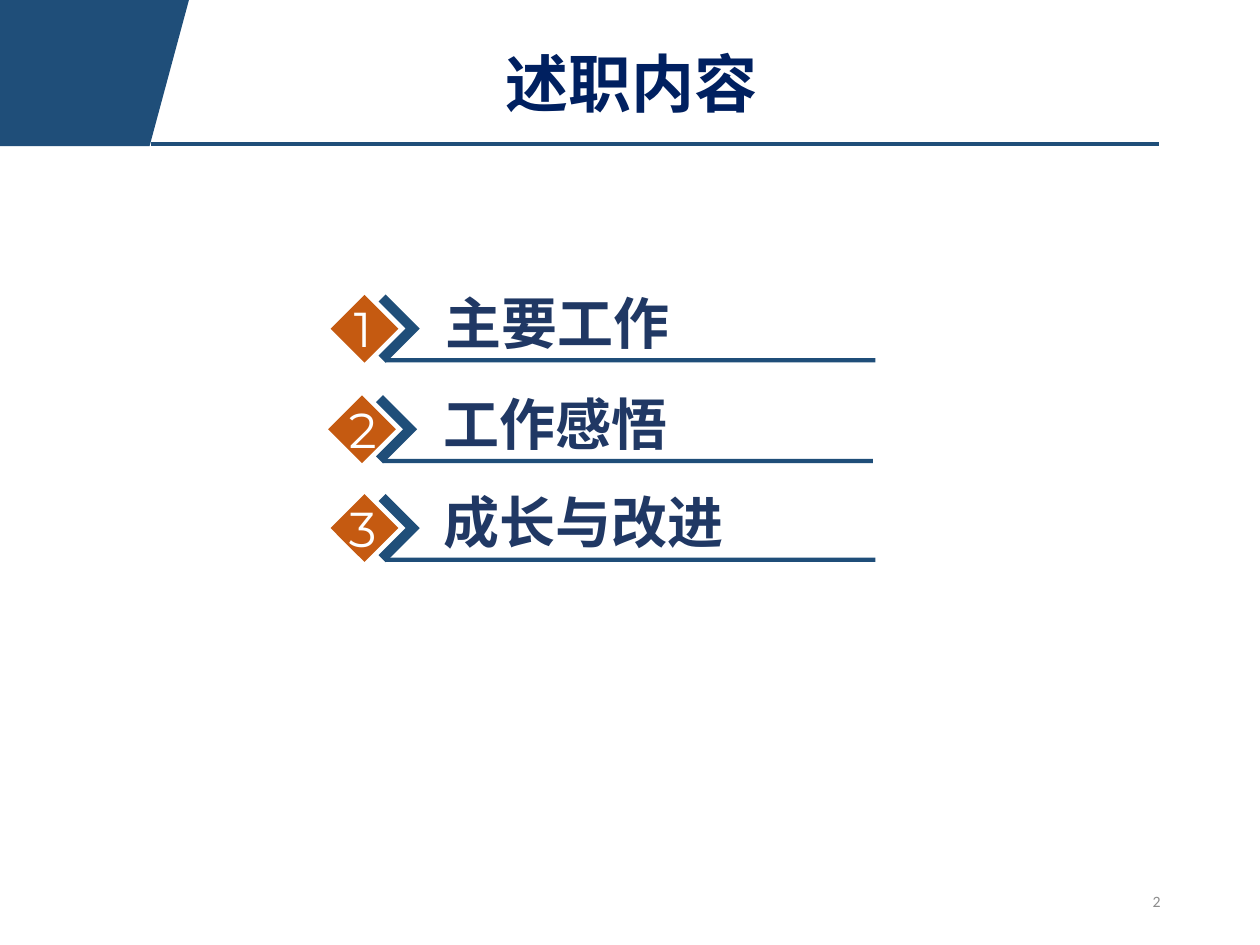
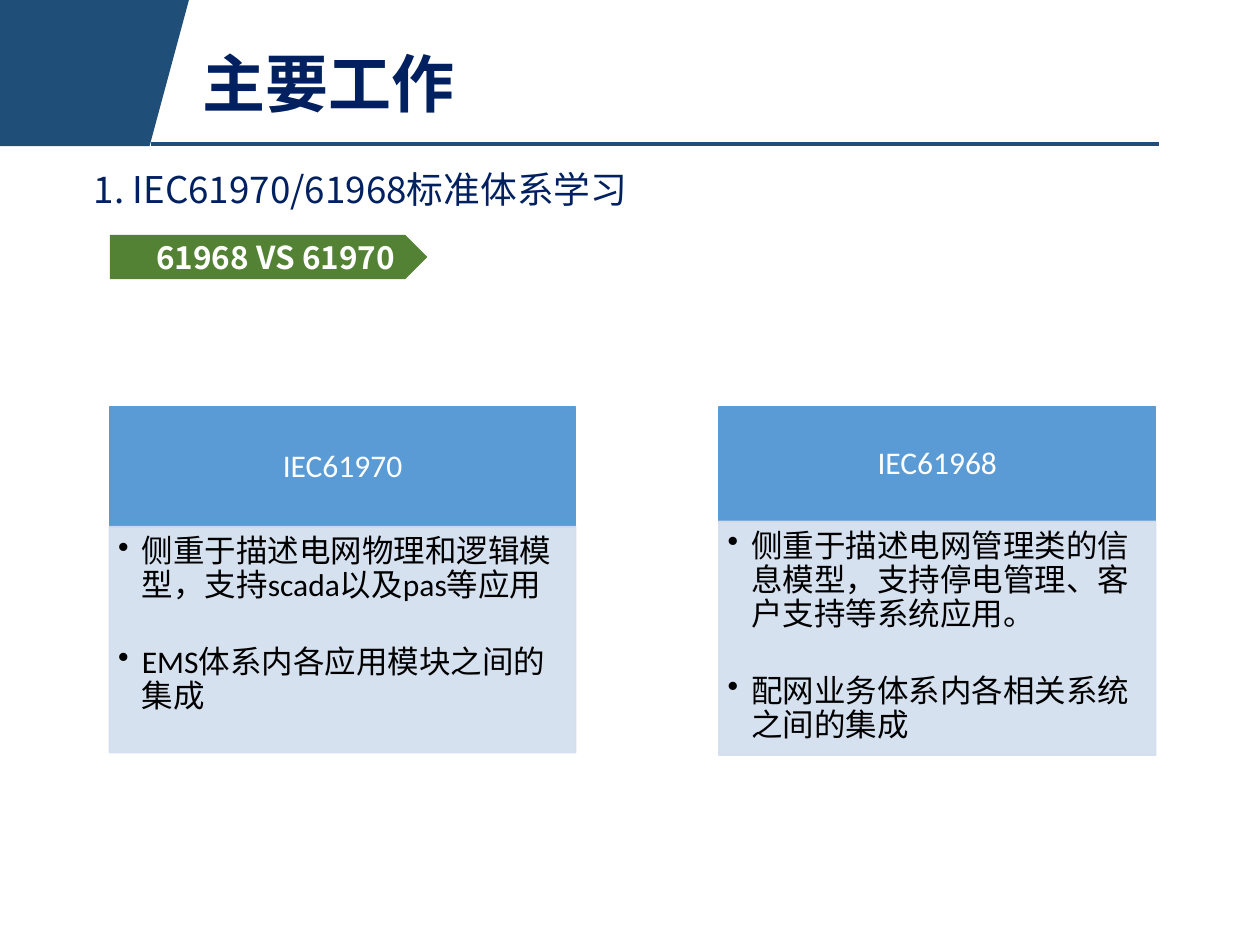
from pptx import Presentation, util as u
from pptx.dml.color import RGBColor
from pptx.enum import shapes as sh, text as tx
from pptx.oxml.ns import qn
from lxml import etree

Pt = u.Pt
HUES = {"navy": "1F4E79", "title": "002060", "label": "203864", "rust": "C55A11",
        "blue": "5B9BD5", "pale": "D2DEEF", "green": "548235", "gray": "8C8C8C",
        "white": "FFFFFF", "black": "000000"}
CJK = "Noto Sans CJK SC"
MID = tx.MSO_ANCHOR.MIDDLE
LEFT, CENTER, RIGHT = tx.PP_ALIGN.LEFT, tx.PP_ALIGN.CENTER, tx.PP_ALIGN.RIGHT

# Text styles: font name, size, weight and colour
STYLES = {
    "title": ({"name": CJK, "size": Pt(36), "bold": True}, "title"),
    "lead": ({"name": CJK, "size": Pt(21)}, "title"),
    "label": ({"name": CJK, "size": Pt(32), "bold": True}, "label"),
    "tag": ({"name": CJK, "size": Pt(18), "bold": True}, "white"),
    "digit": ({"name": "Montserrat", "size": Pt(28)}, "white"),
    "head": ({"name": "Calibri", "size": Pt(18)}, "white"),
    "point": ({"name": "Calibri", "size": Pt(18)}, "black"),
    "page": ({"name": "Calibri", "size": Pt(9)}, "gray"),
}


def write(shape, lines, style, frame={}, para={}):
    """Fill a shape with styled paragraphs."""
    box = shape.text_frame
    for key, val in {"word_wrap": True, "auto_size": tx.MSO_AUTO_SIZE.NONE, **frame}.items():
        setattr(box, key, val)
    font, hue = STYLES[style]
    for i, line in enumerate(lines):
        par = box.add_paragraph() if i else box.paragraphs[0]
        for key, val in {"alignment": LEFT, **para}.items():
            setattr(par, key, val)
        run = par.add_run()
        run.text = line
        for key, val in font.items():
            setattr(run.font, key, val)
        run.font.color.rgb = RGBColor.from_string(HUES[hue])
        east = etree.SubElement(run.font._element, qn("a:ea"))
        east.set("typeface", CJK)


def paint(shape, fill, line=False):
    """Give a shape a flat fill and, if asked, a thin line of that colour."""
    rgb = RGBColor.from_string(HUES[fill])
    shape.shadow.inherit = False
    shape.fill.solid()
    shape.fill.fore_color.rgb = rgb
    if line:
        shape.line.color.rgb = rgb
        shape.line.width = Pt(1)
    else:
        shape.line.fill.background()


prs = Presentation()
prs.slide_width, prs.slide_height = Pt(720), Pt(540)
toc = prs.slides.add_slide(prs.slide_layouts[5])
work = prs.slides.add_slide(prs.slide_layouts[1])

# Shared corner band and rule, moved to the slide master
pen = toc.shapes.build_freeform(0, 0, scale=1.0)
pen.add_line_segments([(Pt(x), Pt(y)) for x, y in [(108, 0), (85.5, 83.5), (0, 83.5)]])
band = pen.convert_to_shape()
paint(band, "navy")
rule = toc.shapes.add_connector(sh.MSO_CONNECTOR.STRAIGHT, Pt(86.4), Pt(82.4), Pt(662.4), Pt(82.4))
rule.line.color.rgb = RGBColor.from_string(HUES["navy"])
rule.line.width = Pt(2.25)
etree.SubElement(rule._element.spPr, qn("a:effectLst"))
tree = prs.slide_master.element.cSld.spTree
for i, part in enumerate((band, rule)):
    part._element.xpath(".//p:cNvPr")[0].set("id", str(101 + i))
    tree.insert(2 + i, part._element)

# Titles
for slide, words, left, width, side in [(toc, "述职内容", 165, 392, CENTER),
                                        (work, "主要工作", 108.7, 561.6, LEFT)]:
    head = slide.shapes.title
    head.left, head.top, head.width, head.height = Pt(left), Pt(16.5), Pt(width), Pt(67)
    write(head, [words], "title", {"vertical_anchor": MID},
          {"alignment": side, "line_spacing": 0.9})

# Contents list: chevron, diamond, number, underline and label
CHEVRON = [(0, 0), (19.5, 19.5), (0, 39), (-4, 35), (11.5, 19.5), (-4, 4)]
for num, words, x, y, left in [("1", "主要工作", 220.3, 168.3, 247.7),
                               ("2", "工作感悟", 218.9, 225.8, 246.2),
                               ("3", "成长与改进", 220.3, 282.3, 246.2)]:
    row = toc.shapes.add_group_shape().shapes
    spots = [(Pt(x + dx), Pt(y + dy)) for dx, dy in CHEVRON]
    pen = row.build_freeform(*spots[0], scale=1.0)
    pen.add_line_segments(spots[1:])
    paint(pen.convert_to_shape(), "navy")
    gem = row.add_shape(sh.MSO_SHAPE.RECTANGLE, Pt(x - 25.7), Pt(y + 5.8), Pt(27.4), Pt(27.4))
    gem.rotation = 45
    paint(gem, "rust")
    digit = row.add_textbox(Pt(190.8), Pt(y - 1), Pt(33), Pt(41))
    write(digit, [num], "digit", {"word_wrap": False}, {"alignment": CENTER})
    base = row.add_shape(sh.MSO_SHAPE.RECTANGLE, Pt(x), Pt(y + 36.4), Pt(280), Pt(2.4))
    paint(base, "navy")
    write(row.add_textbox(Pt(left), Pt(y - 7), Pt(252), Pt(46)), [words], "label")

# Page number
page = toc.shapes.add_textbox(Pt(508.3), Pt(500.5), Pt(162), Pt(28.8))
write(page, ["2"], "page", {"vertical_anchor": MID}, {"alignment": RIGHT})

# Lead line
lead = work.placeholders[1]
lead.left, lead.top, lead.width, lead.height = Pt(46.4), Pt(94.3), Pt(610.6), Pt(35.3)
write(lead, ["1. IEC61970/61968标准体系学习"], "lead", {},
      {"line_spacing": 0.9, "space_before": Pt(7.5)})
props = lead.text_frame.paragraphs[0]._p.get_or_add_pPr()
props.set("marL", "0")
props.set("indent", "0")
etree.SubElement(props, qn("a:buNone"))

# Two comparison panels
for name, points, left, width, split, end in [
        ("IEC61970", ["侧重于描述电网物理和逻辑模型，支持scada以及pas等应用",
                      "EMS体系内各应用模块之间的集成"], 62.6, 266.4, 301, 430),
        ("IEC61968", ["侧重于描述电网管理类的信息模型，支持停电管理、客户支持等系统应用。",
                      "配网业务体系内各相关系统之间的集成"], 410.8, 249.6, 298, 431.5)]:
    panel = work.shapes.add_group_shape().shapes
    top = 232.5
    cap = panel.add_shape(sh.MSO_SHAPE.RECTANGLE, Pt(left), Pt(top), Pt(width), Pt(split - top))
    paint(cap, "blue", True)
    write(cap, [name], "head", {"vertical_anchor": MID},
          {"alignment": CENTER, "line_spacing": 0.9})
    body = panel.add_shape(sh.MSO_SHAPE.RECTANGLE, Pt(left), Pt(split), Pt(width), Pt(end - split))
    paint(body, "pale", True)
    for tint in body._element.spPr.iter(qn("a:srgbClr")):
        etree.SubElement(tint, qn("a:alpha")).set("val", "90000")
    write(body, points, "point",
          {"vertical_anchor": tx.MSO_ANCHOR.TOP, "margin_left": Pt(5), "margin_top": Pt(5),
           "margin_right": Pt(6.7), "margin_bottom": Pt(7)},
          {"line_spacing": 0.9, "space_after": Pt(24.5)})
    for par in body.text_frame.paragraphs:
        props = par._p.get_or_add_pPr()
        props.set("marL", str(Pt(13.5)))
        props.set("indent", str(-Pt(13.5)))
        etree.SubElement(props, qn("a:buChar")).set("char", "•")

# Arrow tag
tag = work.shapes.add_shape(sh.MSO_SHAPE.PENTAGON, Pt(62.8), Pt(134.2), Pt(181.4), Pt(25.4))
paint(tag, "green")
write(tag, ["61968 VS 61970"], "tag",
      {"vertical_anchor": MID, "margin_left": Pt(14.4), "margin_right": 0},
      {"alignment": CENTER})

prs.save("out.pptx")
